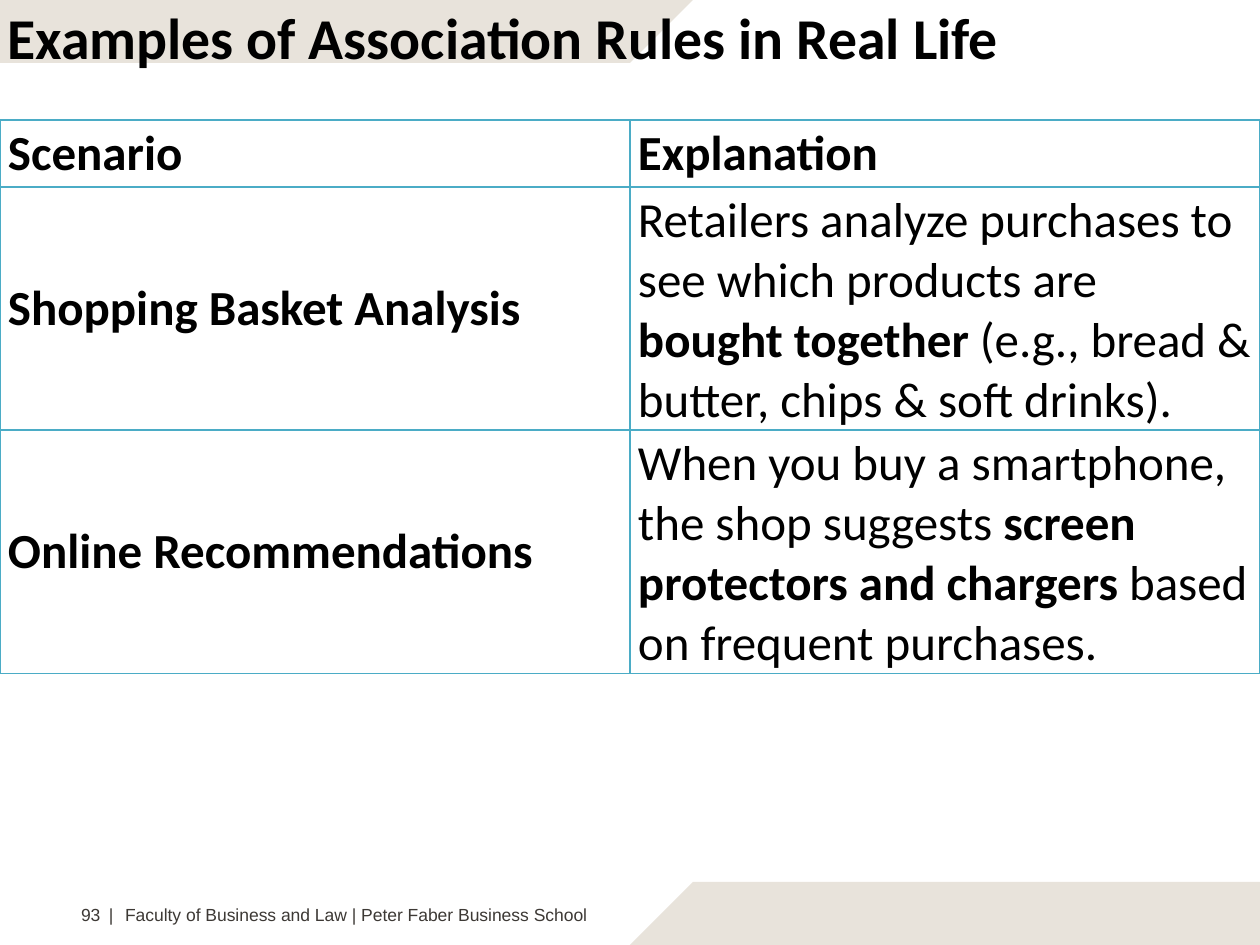
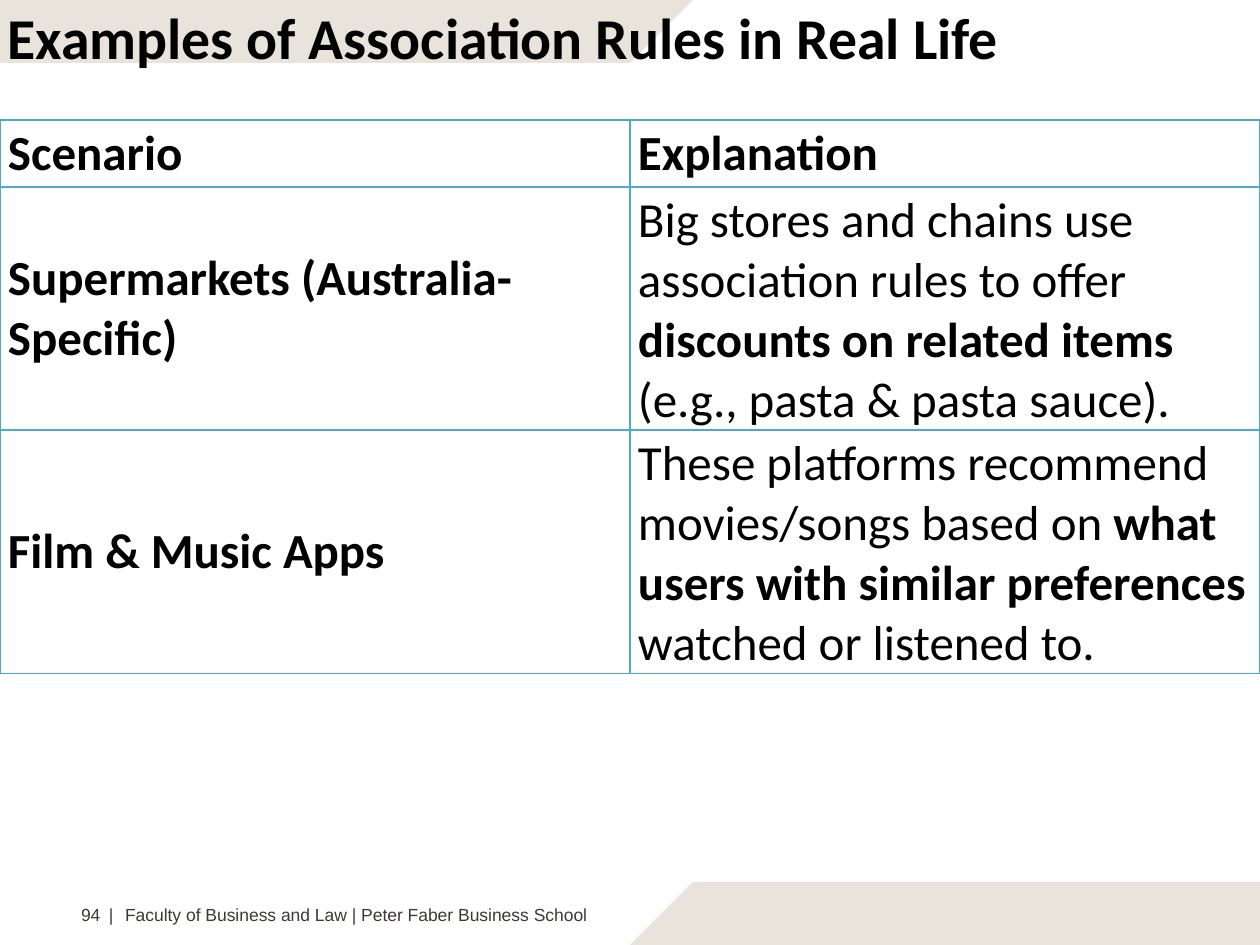
from pptx import Presentation
from pptx.dml.color import RGBColor as RGB
from pptx.enum.text import MSO_ANCHOR as Anchor, MSO_AUTO_SIZE as Fit
from pptx.oxml import parse_xml as to_xml
from pptx.oxml.ns import nsdecls
from pptx.util import Pt

# Scale and shared style
EMU = 914400 / 126
WIDE, HIGH = 1260, 945
BLACK = RGB(0, 0, 0)
SAND = RGB(0xE8, 0xE3, 0xDB)
SLATE = RGB(0x3D, 0x39, 0x35)
TEAL = RGB(0x4B, 0xAC, 0xC6)

# Slanted bands at the top left and bottom right
BANDS = [
    [(693, 0), (0, 0), (0, 63), (630, 63)],
    [(WIDE, 882), (693, 882), (630, HIGH), (WIDE, HIGH)],
]
TITLE = "Examples of Association Rules in Real Life"
SCHOOL = "Faculty of Business and Law | Peter Faber Business School"
HEADS = ["Scenario", "Explanation"]
ROWS = [65, 243, 243]

# Slide number, then (scenario, (plain, bold, plain)) for each row
PAGES = [
    (93, [
        ("Shopping Basket Analysis",
         ("Retailers analyze purchases to see which products are ",
          "bought together",
          " (e.g., bread & butter, chips & soft drinks).")),
        ("Online Recommendations",
         ("When you buy a smartphone, the shop suggests ",
          "screen protectors and chargers",
          " based on frequent purchases.")),
    ]),
    (94, [
        ("Supermarkets (Australia-Specific)",
         ("Big stores and chains use association rules to offer ",
          "discounts on related items",
          " (e.g., pasta & pasta sauce).")),
        ("Film & Music Apps",
         ("These platforms recommend movies/songs based on ",
          "what users with similar preferences",
          " watched or listened to.")),
    ]),
]


def px(num):
    return round(num * EMU)


def add_run(para, text, size, bold=False, face="Calibri", color=BLACK):
    run = para.add_run()
    run.text = text
    font = run.font
    font.name, font.size, font.bold = face, Pt(size), bold
    font.color.rgb = color


def add_band(slide, points):
    pen = slide.shapes.build_freeform(*points[0], scale=EMU)
    pen.add_line_segments(points[1:], close=True)
    band = pen.convert_to_shape()
    band.shadow.inherit = False
    band.fill.solid()
    band.fill.fore_color.rgb = SAND
    band.line.fill.background()


def add_box(slide, left, top, width, height):
    box = slide.shapes.add_textbox(px(left), px(top), px(width), px(height))
    frame = box.text_frame
    frame.word_wrap = False
    frame.auto_size = Fit.SHAPE_TO_FIT_TEXT
    return frame


def add_title(slide):
    frame = add_box(slide, -5, -5, 1032, 83)
    frame.vertical_anchor = Anchor.MIDDLE
    add_run(frame.paragraphs[0], TITLE, 33, True)


def add_foot(slide, num):
    frame = add_box(slide, 81, 904, 509, 23)
    frame.margin_left = frame.margin_right = 0
    frame.margin_top = frame.margin_bottom = 0
    para = frame.paragraphs[0]
    # Tab stops for the divider and the school name
    stops = "".join(f'<a:tab pos="{px(stop)}" algn="l"/>' for stop in (28, 44))
    props = para._p.get_or_add_pPr()
    props.append(to_xml(f"<a:tabLst {nsdecls('a')}>{stops}</a:tabLst>"))
    add_run(para, f"{num}\t|\t{SCHOOL}", 10, face="Arial", color=SLATE)


def add_edges(cell):
    props = cell._tc.get_or_add_tcPr()
    for side in ("lnL", "lnR", "lnT", "lnB"):
        props.append(to_xml(
            f'<a:{side} {nsdecls("a")} w="{Pt(1)}"><a:solidFill>'
            f'<a:srgbClr val="{TEAL}"/></a:solidFill></a:{side}>'))


def fill_cell(cell, parts):
    """Write (text, bold) parts into a clear cell with teal edges."""
    add_edges(cell)
    cell.fill.background()
    cell.vertical_anchor = Anchor.MIDDLE
    cell.margin_left = cell.margin_right = px(8)
    cell.margin_top = cell.margin_bottom = px(4)
    for text, bold in parts:
        add_run(cell.text_frame.paragraphs[0], text, 28, bold)


def add_grid(slide, cases):
    frame = slide.shapes.add_table(
        len(ROWS), len(HEADS), 0, px(120), px(WIDE), px(sum(ROWS)))
    table = frame.table
    table.first_row = table.horz_banding = False
    for row, high in zip(table.rows, ROWS):
        row.height = px(high)
    for col, head in enumerate(HEADS):
        fill_cell(table.cell(0, col), [(head, True)])
    for row, (name, parts) in enumerate(cases, 1):
        fill_cell(table.cell(row, 0), [(name, True)])
        fill_cell(table.cell(row, 1), zip(parts, (False, True, False)))


def main():
    deck = Presentation()
    deck.slide_width, deck.slide_height = px(WIDE), px(HIGH)
    for num, cases in PAGES:
        slide = deck.slides.add_slide(deck.slide_layouts[6])
        for points in BANDS:
            add_band(slide, points)
        add_foot(slide, num)
        add_grid(slide, cases)
        add_title(slide)
    deck.save("out.pptx")


if __name__ == "__main__":
    main()
